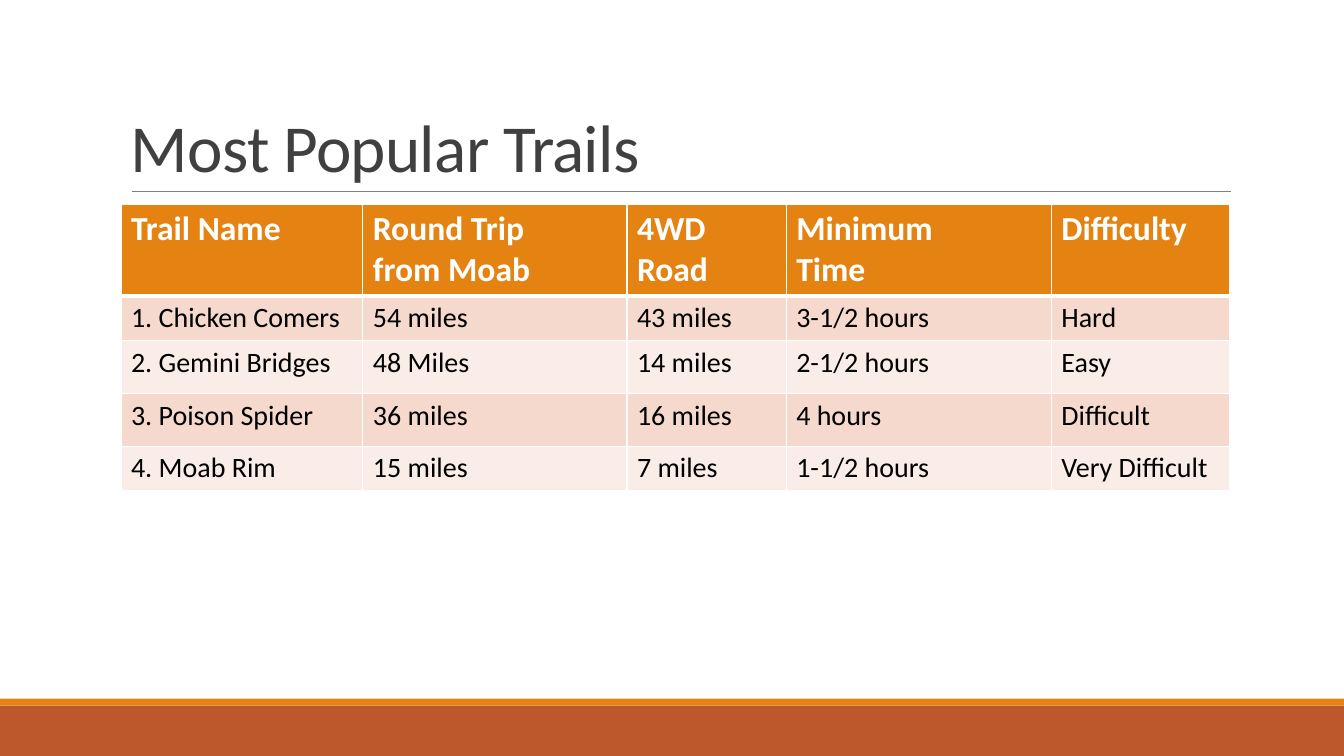
"""Build the slide listing the most popular trails around Moab."""
from dataclasses import dataclass

from lxml import etree
from pptx import Presentation
from pptx import util as u
from pptx.dml.color import RGBColor
from pptx.enum import shapes, text
from pptx.oxml import ns

ORANGE, RUST, WHITE = "E48312", "BD582C", "FFFFFF"
BANDS = ("F5D9CC", "FAEDE7")
SLIDE_WIDTH, SLIDE_HEIGHT = 960, 540
TABLE_LEFT, TABLE_TOP = 86.4, 145.7
COLUMN_WIDTHS = (172.8, 188.64, 113.76, 189.36, 127.44)
ROW_HEIGHTS = (65.8, 31.6, 38.2, 37.4, 31.6)
TRAILS = (
    ("Trail Name", "Round Trip\nfrom Moab", "4WD Road", "Minimum\nTime", "Difficulty"),
    ("1. Chicken Comers", "54 miles", "43 miles", "3-1/2 hours", "Hard"),
    ("2. Gemini Bridges", "48 Miles", "14 miles", "2-1/2 hours", "Easy"),
    ("3. Poison Spider", "36 miles", "16 miles", "4 hours", "Difficult"),
    ("4. Moab Rim", "15 miles", "7 miles", "1-1/2 hours", "Very Difficult"),
)


@dataclass(frozen=True)
class Stripe:
    top: float
    height: float
    color: str


@dataclass(frozen=True)
class RowLook:
    size: float
    color: str
    bold: bool
    fill: str
    top_line: float = 1
    bottom_line: float = 1


FOOTER = (Stripe(504, 36, RUST), Stripe(499, 5, ORANGE))


def rgb(color: str) -> RGBColor:
    return RGBColor.from_string(color)


def format_text(frame, size: float, color: str, bold: bool = False) -> None:
    formats = {"name": "Calibri", "size": u.Pt(size), "bold": bold}
    for paragraph in frame.paragraphs:
        for run in paragraph.runs:
            for attribute, value in formats.items():
                setattr(run.font, attribute, value)
            run.font.color.rgb = rgb(color)


def draw_stripe(slide, stripe: Stripe) -> None:
    band = slide.shapes.add_shape(
        shapes.MSO_SHAPE.RECTANGLE, 0, u.Pt(stripe.top),
        u.Pt(SLIDE_WIDTH), u.Pt(stripe.height))
    band.shadow.inherit = False
    band.fill.solid()
    band.fill.fore_color.rgb = rgb(stripe.color)
    band.line.fill.background()


def draw_title(slide) -> None:
    rule = slide.shapes.add_connector(
        shapes.MSO_CONNECTOR.STRAIGHT, u.Pt(94.3), u.Pt(136.8), u.Pt(879.1), u.Pt(136.8))
    rule.line.color.rgb = rgb("808080")
    rule.line.width = u.Pt(0.5)
    etree.SubElement(rule.element.spPr, ns.qn("a:effectLst"))

    title = slide.shapes.add_textbox(u.Pt(86.4), u.Pt(22.3), u.Pt(792), u.Pt(114.5)).text_frame
    settings = {"text": "Most Popular Trails", "word_wrap": True,
                "vertical_anchor": text.MSO_ANCHOR.BOTTOM}
    for attribute, value in settings.items():
        setattr(title, attribute, value)
    heading = title.paragraphs[0]
    heading.line_spacing = 0.85
    format_text(title, 48, "404040")
    heading.runs[0].font._element.set("spc", "-50")


def add_borders(cell, look: RowLook) -> None:
    properties = cell._tc.get_or_add_tcPr()
    widths = {"lnL": 1, "lnR": 1, "lnT": look.top_line, "lnB": look.bottom_line}
    for side, width in widths.items():
        border = etree.SubElement(properties, ns.qn(f"a:{side}"), w=str(u.Pt(width)))
        paint = etree.SubElement(border, ns.qn("a:solidFill"))
        etree.SubElement(paint, ns.qn("a:srgbClr"), val=WHITE)


def row_look(index: int) -> RowLook:
    if index == 0:
        return RowLook(24, WHITE, True, ORANGE, bottom_line=3)
    return RowLook(20, "000000", False, BANDS[(index - 1) % 2],
                   top_line=3 if index == 1 else 1)


def draw_trails(slide) -> None:
    trails = slide.shapes.add_table(
        len(TRAILS), len(COLUMN_WIDTHS), u.Pt(TABLE_LEFT), u.Pt(TABLE_TOP),
        u.Pt(sum(COLUMN_WIDTHS)), u.Pt(sum(ROW_HEIGHTS))).table
    trails.horz_banding = False
    for column, width in zip(trails.columns, COLUMN_WIDTHS):
        column.width = u.Pt(width)
    for index, (row, height, entries) in enumerate(zip(trails.rows, ROW_HEIGHTS, TRAILS)):
        row.height = u.Pt(height)
        look = row_look(index)
        for cell, entry in zip(row.cells, entries):
            cell.text = entry
            format_text(cell.text_frame, look.size, look.color, look.bold)
            add_borders(cell, look)
            cell.fill.solid()
            cell.fill.fore_color.rgb = rgb(look.fill)


def main() -> None:
    deck = Presentation()
    deck.slide_width, deck.slide_height = u.Pt(SLIDE_WIDTH), u.Pt(SLIDE_HEIGHT)
    slide = deck.slides.add_slide(deck.slide_layouts[6])
    for stripe in FOOTER:
        draw_stripe(slide, stripe)
    draw_title(slide)
    draw_trails(slide)
    deck.save("out.pptx")


if __name__ == "__main__":
    main()
